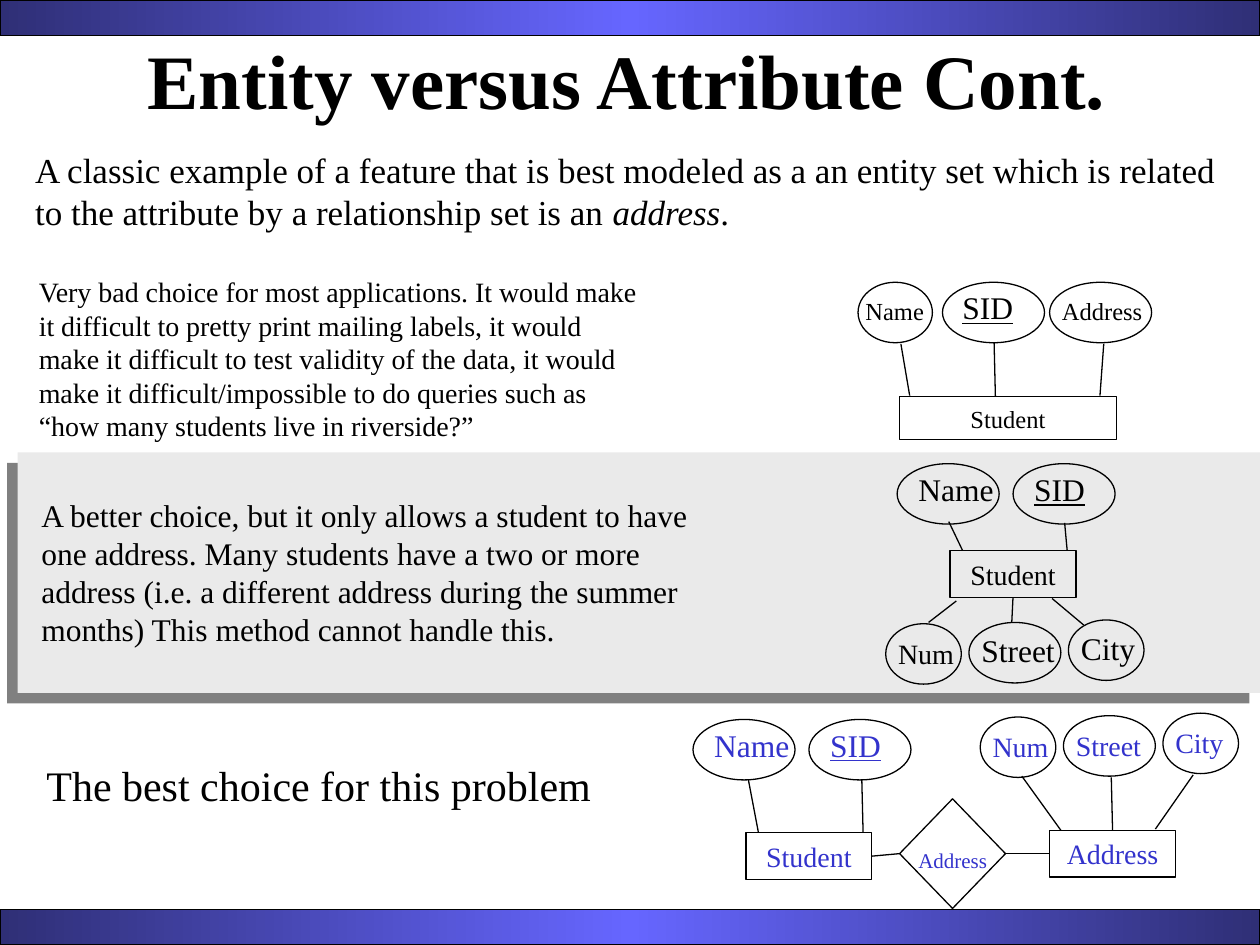
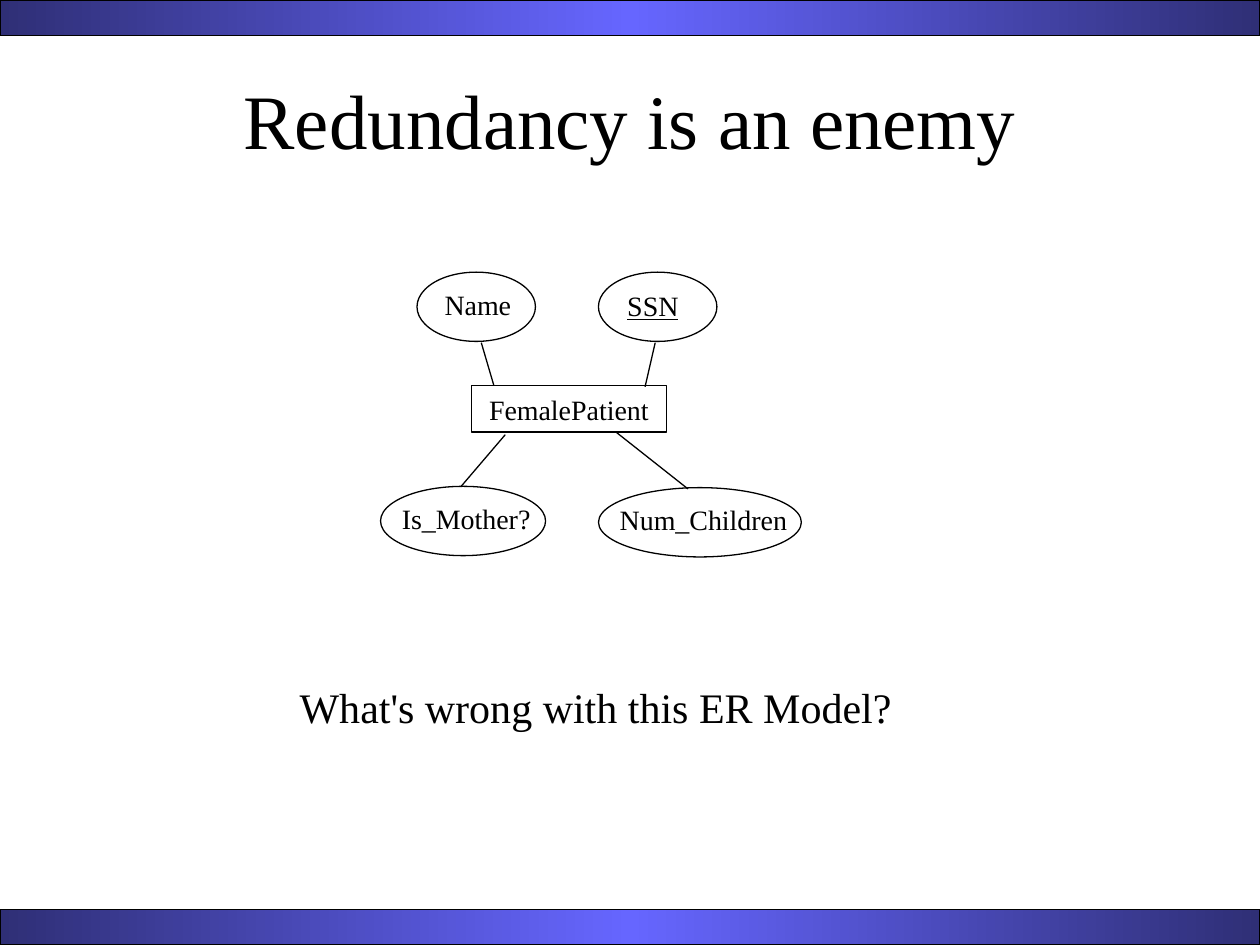
import copy
from dataclasses import dataclass

import lxml.etree
import pptx
import pptx.dml.color
import pptx.enum.dml
import pptx.enum.shapes
import pptx.enum.text
import pptx.oxml.ns
import pptx.util

Inches = pptx.util.Inches
Pt = pptx.util.Pt
qn = pptx.oxml.ns.qn
SHAPE = pptx.enum.shapes.MSO_SHAPE
RGB = pptx.dml.color.RGBColor.from_string


@dataclass(frozen=True)
class Theme:
    font: str = "Times New Roman"
    ink: str = "000000"
    accent: str = "3333CC"
    band_edge: str = "2F2F76"
    band_middle: str = "6666FF"
    panel: str = "EAEAEA"
    shadow: str = "808080"
    title: int = 44
    statement: int = 24
    lead: int = 20
    large: int = 18
    medium: int = 16
    small: int = 14
    tiny: int = 12
    line: float = 0.75


THEME = Theme()
KEYS = {"SID", "SSN"}


def style(p, size, color=THEME.ink, bold=False, underline=False):
    for r in p.runs:
        r.font.name = THEME.font
        r.font.size = Pt(size)
        r.font.color.rgb = RGB(color)
        r.font.bold = bold
        r.font.underline = underline


def outline(shape):
    shape.line.color.rgb = RGB(THEME.ink)
    shape.line.width = Pt(THEME.line)


def add_figure(s, kind, box):
    shape = s.shapes.add_shape(kind, *map(Inches, box))
    shape.shadow.inherit = False
    shape.fill.background()
    outline(shape)
    return shape


def add_master_bands(prs, s):
    tree = prs.slide_master.shapes.element
    for n, top in enumerate((0, 7.22)):
        band = add_figure(s, SHAPE.RECTANGLE, (0, top, 10, 0.28))
        band.fill.gradient()
        band.fill.gradient_angle = 0
        stops = band.element.spPr.find(qn("a:gradFill")).find(qn("a:gsLst"))
        stops.insert(1, copy.deepcopy(stops[0]))
        colors = (THEME.band_edge, THEME.band_middle, THEME.band_edge)
        for stop, color, position in zip(band.fill.gradient_stops, colors, (0, 0.5, 1)):
            stop.color.rgb = RGB(color)
            stop.position = position
        band.element.nvSpPr.cNvPr.set("id", str(100 + n))
        tree.insert(2 + n, band.element)


def add_title(s, text, box, bold=False):
    title = s.shapes.title
    title.left, title.top, title.width, title.height = map(Inches, box)
    tf = title.text_frame
    tf.text = text
    tf.auto_size = pptx.enum.text.MSO_AUTO_SIZE.NONE
    tf.vertical_anchor = pptx.enum.text.MSO_ANCHOR.MIDDLE
    tf.paragraphs[0].alignment = pptx.enum.text.PP_ALIGN.CENTER
    style(tf.paragraphs[0], THEME.title, bold=bold)


def add_panel(s, box):
    panel = add_figure(s, SHAPE.RECTANGLE, box)
    panel.fill.solid()
    panel.fill.fore_color.rgb = RGB(THEME.panel)
    panel.line.fill.background()
    effects = panel.element.spPr.find(qn("a:effectLst"))
    shadow = lxml.etree.SubElement(effects, qn("a:outerShdw"), dist=str(Pt(8.5)),
                                   dir="8100000", algn="ctr", rotWithShape="0")
    lxml.etree.SubElement(shadow, qn("a:srgbClr"), val=THEME.shadow)


def add_body(s, text, box, size):
    tf = s.shapes.add_textbox(*map(Inches, box)).text_frame
    tf.word_wrap = True
    p = tf.paragraphs[0]
    parts = text.split("*")
    for n, part in enumerate(parts):
        r = p.add_run()
        r.text = part
        r.font.italic = n % 2 == 1
    style(p, size)


def add_label(s, text, left, top, width, size, color=THEME.ink):
    height = size * 1.2 / 72 + 0.1
    box = s.shapes.add_textbox(*map(Inches, (left, top, width, height)))
    tf = box.text_frame
    tf.text = text
    tf.word_wrap = False
    tf.margin_right = 0
    tf.auto_size = pptx.enum.text.MSO_AUTO_SIZE.NONE
    tf.paragraphs[0].alignment = pptx.enum.text.PP_ALIGN.LEFT
    style(tf.paragraphs[0], size, color, underline=text in KEYS)


def add_attributes(s, rows, height, color=THEME.ink):
    for text, left, top, width, label_left, label_top, label_width, size in rows:
        add_figure(s, SHAPE.OVAL, (left, top, width, height))
        add_label(s, text, label_left, label_top, label_width, size, color)


def add_entity(s, text, box, size=THEME.medium, color=THEME.ink):
    entity = add_figure(s, SHAPE.RECTANGLE, box)
    tf = entity.text_frame
    tf.text = text
    tf.word_wrap = True
    tf.paragraphs[0].alignment = pptx.enum.text.PP_ALIGN.CENTER
    style(tf.paragraphs[0], size, color)
    return entity


def add_link(s, ends, begin=None, end=None):
    link = s.shapes.add_connector(pptx.enum.shapes.MSO_CONNECTOR.STRAIGHT, *map(Inches, ends))
    outline(link)
    if begin:
        link.begin_connect(*begin)
    if end:
        link.end_connect(*end)
    lxml.etree.SubElement(link.element.spPr, qn("a:effectLst"))


def add_links(s, rows):
    for ends in rows:
        add_link(s, ends)


def draw_address_as_attribute(s):
    add_entity(s, "Student", (7.14, 3.15, 1.72, 0.34), THEME.small)
    add_attributes(s, [
        ("Name", 6.81, 2.24, 0.59, 6.77, 2.3, 0.66, THEME.small),
        ("SID", 7.48, 2.24, 0.81, 7.54, 2.24, 0.6, THEME.large),
        ("Address", 8.33, 2.24, 0.81, 8.33, 2.3, 0.84, THEME.small),
    ], 0.48)
    add_links(s, [(7.15, 2.73, 7.22, 3.14), (7.89, 2.72, 7.9, 3.15), (8.76, 2.73, 8.73, 3.14)])


def draw_address_parts(s):
    student = add_entity(s, "Student", (7.54, 4.37, 1, 0.37))
    add_attributes(s, [
        ("Name", 7.12, 3.68, 0.81, 7.19, 3.68, 0.79, THEME.large),
        ("SID", 8.04, 3.68, 0.81, 8.11, 3.68, 0.6, THEME.large),
        ("Num", 7.03, 4.95, 0.6, 7.03, 5, 0.64, THEME.medium),
        ("Street", 7.69, 4.94, 0.73, 7.69, 4.96, 0.78, THEME.large),
        ("City", 8.48, 4.92, 0.6, 8.48, 4.94, 0.63, THEME.large),
    ], 0.48)
    add_links(s, [(7.53, 4.14, 7.64, 4.37), (8.45, 4.15, 8.47, 4.37),
                  (7.59, 4.77, 7.37, 4.94), (8.35, 4.75, 8.6, 4.96)])
    add_link(s, (8.04, 4.74, 8.03, 4.94), begin=(student, 2))


def draw_address_as_entity(s):
    student = add_entity(s, "Student", (5.92, 6.61, 1, 0.37), color=THEME.accent)
    address = add_entity(s, "Address", (8.33, 6.59, 1, 0.37), color=THEME.accent)
    relationship = add_figure(s, SHAPE.DIAMOND, (7.14, 6.34, 0.84, 0.87))
    add_label(s, "Address", 7.19, 6.68, 0.74, THEME.tiny, THEME.accent)
    add_attributes(s, [
        ("Name", 5.5, 5.71, 0.81, 5.57, 5.71, 0.79, THEME.large),
        ("SID", 6.42, 5.71, 0.81, 6.49, 5.71, 0.6, THEME.large),
        ("Num", 7.78, 5.69, 0.6, 7.78, 5.74, 0.64, THEME.medium),
        ("Street", 8.44, 5.68, 0.73, 8.44, 5.73, 0.71, THEME.medium),
        ("City", 9.23, 5.66, 0.6, 9.23, 5.71, 0.58, THEME.medium),
    ], 0.48, THEME.accent)
    add_links(s, [(5.94, 6.19, 6.02, 6.61), (6.84, 6.19, 6.85, 6.61),
                  (8.11, 6.16, 8.42, 6.59), (9.47, 6.15, 9.17, 6.58)])
    add_link(s, (8.82, 6.17, 8.83, 6.59), end=(address, 0))
    add_link(s, (7.14, 6.77, 6.92, 6.77), (relationship, 1), (student, 3))
    add_link(s, (7.98, 6.78, 8.33, 6.78), (relationship, 3), (address, 1))


def draw_patient(s):
    add_entity(s, "FemalePatient", (3.74, 3.06, 1.55, 0.37))
    add_attributes(s, [
        ("Name", 3.31, 2.16, 0.94, 3.43, 2.23, 0.73, THEME.medium),
        ("SSN", 4.75, 2.16, 0.94, 4.88, 2.24, 0.6, THEME.medium),
        ("Is_Mother?", 3.02, 3.86, 1.31, 3.09, 3.93, 1.22, THEME.medium),
        ("Num_Children", 4.75, 3.87, 1.61, 4.82, 3.94, 1.53, THEME.medium),
    ], 0.55)
    add_links(s, [(3.82, 2.72, 3.92, 3.06), (5.2, 2.72, 5.12, 3.07),
                  (4.01, 3.45, 3.66, 3.86), (4.89, 3.43, 5.46, 3.88)])


def build_entity_slide(s):
    add_title(s, "Entity versus Attribute Cont.", (0.39, 0, 9.17, 1.25), bold=True)
    add_panel(s, (0.14, 3.59, 9.86, 1.91))
    add_body(s, "A classic example of a feature that is best modeled as a an entity set which is "
             "related to the attribute by a relationship set is an *address*.",
             (0.18, 1.13, 9.69, 1.1), THEME.lead)
    add_body(s, "Very bad choice for most applications. It would make it difficult to pretty "
             "print mailing labels, it would make it difficult to test validity of the data, it "
             "would make it difficult/impossible to do queries such as “how many students live "
             "in riverside?”", (0.21, 2.13, 4.96, 1.44), THEME.medium)
    add_body(s, "A better choice, but it only allows a student to have one address. Many students "
             "have a two or more address (i.e. a different address during the summer months) "
             "This method cannot handle this.", (0.23, 3.89, 5.4, 1.3), THEME.large)
    add_body(s, "The best choice for this problem", (0.27, 5.98, 4.96, 0.5), THEME.statement)
    draw_address_as_attribute(s)
    draw_address_parts(s)
    draw_address_as_entity(s)


def build_redundancy_slide(s):
    add_title(s, "Redundancy is an enemy", (0.75, 0.32, 8.5, 1.25))
    draw_patient(s)
    add_label(s, "What's wrong with this ER Model?", 2.28, 5.36, 4.9, THEME.statement)


def main():
    prs = pptx.Presentation()
    prs.slide_width, prs.slide_height = Inches(10), Inches(7.5)
    title_only = prs.slide_layouts[5]
    entity_slide = prs.slides.add_slide(title_only)
    add_master_bands(prs, entity_slide)
    build_entity_slide(entity_slide)
    build_redundancy_slide(prs.slides.add_slide(title_only))
    prs.save("out.pptx")


if __name__ == "__main__":
    main()
